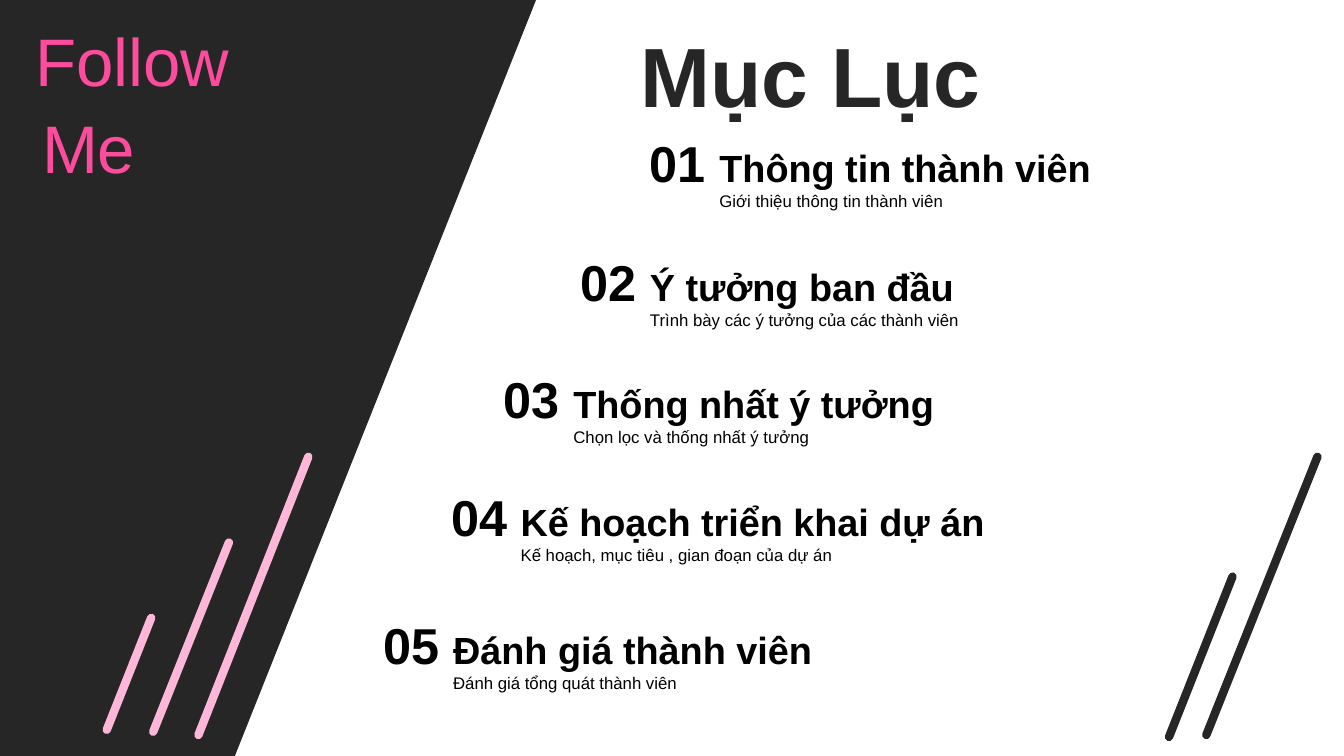
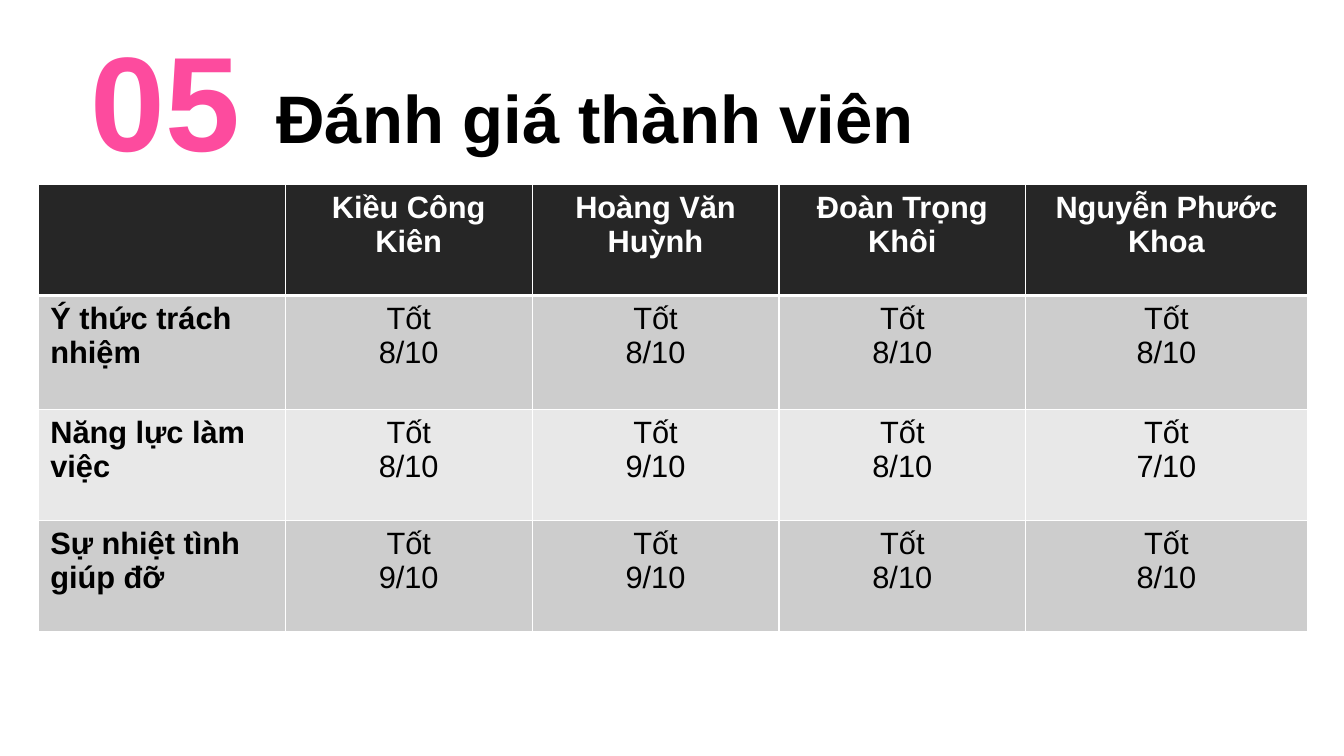
from lxml import etree
from pptx import Presentation
from pptx.dml.color import RGBColor
from pptx.enum import shapes, text
from pptx.oxml import ns
from pptx.util import Cm, Pt

FONT = "Arial"
DARK = RGBColor(0x26, 0x26, 0x26)
PINK = RGBColor(0xFD, 0x4B, 0x9E)
LIGHT_PINK = RGBColor(0xFE, 0xB7, 0xD8)
BLACK = RGBColor(0, 0, 0)
WHITE = RGBColor(0xFF, 0xFF, 0xFF)
BAND_ODD = RGBColor(0xCD, 0xCD, 0xCD)
BAND_EVEN = RGBColor(0xE8, 0xE8, 0xE8)

WIDTH, HEIGHT = Cm(33.87), Cm(19.05)
LEFT, CENTER = text.PP_ALIGN.LEFT, text.PP_ALIGN.CENTER
TOP, MIDDLE = text.MSO_ANCHOR.TOP, text.MSO_ANCHOR.MIDDLE

# number, heading, summary, left and top in cm
AGENDA = [
    ("01", "Thông tin thành viên", "Giới thiệu thông tin thành viên", 15.75, 3.2),
    ("02", "Ý tưởng ban đầu", "Trình bày các ý tưởng của các thành viên", 14, 6.2),
    ("03", "Thống nhất ý tưởng", "Chọn lọc và thống nhất ý tưởng", 12.07, 9.14),
    ("04", "Kế hoạch triển khai dự án", "Kế hoạch, mục tiêu , gian đoạn của dự án", 10.74, 12.12),
    ("05", "Đánh giá thành viên", "Đánh giá tổng quát thành viên", 9.04, 15.34),
]
# colour, then start and end points in cm
STROKES = [
    (DARK, 33.2, 11.51, 30.4, 18.52),
    (DARK, 31.06, 14.53, 29.46, 18.57),
    (LIGHT_PINK, 7.77, 11.51, 5, 18.52),
    (LIGHT_PINK, 5.77, 13.67, 3.86, 18.44),
    (LIGHT_PINK, 3.81, 15.57, 2.69, 18.39),
]
MEMBERS = ["Kiều Công Kiên", "Hoàng Văn Huỳnh", "Đoàn Trọng Khôi", "Nguyễn Phước Khoa"]
SCORES = [
    ("Ý thức trách nhiệm", [8, 8, 8, 8]),
    ("Năng lực làm việc", [8, 9, 8, 7]),
    ("Sự nhiệt tình giúp đỡ", [9, 9, 8, 8]),
]


def set_all(target, values):
    for name, value in values.items():
        setattr(target, name, value)


def write(frame, content, size, color, bold=False, align=LEFT):
    frame.text = content
    for paragraph in frame.paragraphs:
        paragraph.alignment = align
        set_all(paragraph.font, {"name": FONT, "size": Pt(size), "bold": bold})
        paragraph.font.color.rgb = color


def add_text(container, box, content, size, color, bold=False, align=LEFT,
             anchor=TOP, inset=0.25):
    shape = container.add_textbox(*map(Cm, box))
    set_all(shape.text_frame, {
        "word_wrap": True, "vertical_anchor": anchor,
        "margin_left": Cm(inset), "margin_right": Cm(inset)})
    write(shape.text_frame, content, size, color, bold, align)


def add_slide(presentation, title, box, size, color):
    slide = presentation.slides.add_slide(presentation.slide_layouts[5])
    shape = slide.shapes.title
    set_all(shape, dict(zip(("left", "top", "width", "height"), map(Cm, box))))
    set_all(shape.text_frame, {
        "word_wrap": True, "vertical_anchor": MIDDLE,
        "auto_size": text.MSO_AUTO_SIZE.NONE})
    write(shape.text_frame, title, size, color, bold=True)
    return slide


def add_slanted_panel(slide):
    builder = slide.shapes.build_freeform(0, 0)
    builder.add_line_segments([(Cm(13.51), 0), (Cm(5.92), HEIGHT), (0, HEIGHT)])
    panel = builder.convert_to_shape()
    panel.shadow.inherit = False
    panel.fill.solid()
    panel.fill.fore_color.rgb = DARK
    panel.line.fill.background()


def add_stroke(slide, color, *ends):
    """Draw a thick line with round ends."""
    stroke = slide.shapes.add_connector(shapes.MSO_CONNECTOR.STRAIGHT, *map(Cm, ends))
    stroke.line.color.rgb = color
    stroke.line.width = Pt(6)
    properties = stroke.element.spPr
    properties.find(ns.qn("a:ln")).set("cap", "rnd")
    etree.SubElement(properties, ns.qn("a:effectLst"))


def add_agenda_item(slide, number, heading, summary, left, top):
    group = slide.shapes.add_group_shape().shapes
    add_text(group, (left + 2.13, top + 1.49, 12.52, 0.76), summary, 12, BLACK)
    add_text(group, (left + 2.08, top + 0.32, 12.52, 1.42), heading, 27, BLACK,
             bold=True, inset=0.3)
    add_text(group, (left, top, 2.67, 1.8), number, 36, BLACK,
             bold=True, align=CENTER, inset=0.3)


def add_border(cell, side, width):
    properties = cell._tc.get_or_add_tcPr()
    line = etree.SubElement(properties, ns.qn(f"a:ln{side}"), w=str(Pt(width)))
    fill = etree.SubElement(line, ns.qn("a:solidFill"))
    etree.SubElement(fill, ns.qn("a:srgbClr"), val=str(WHITE))


def format_cell(cell, row, column, content):
    set_all(cell, {"margin_left": Cm(0.3), "margin_right": Cm(0.3),
                   "margin_top": Cm(0.15), "margin_bottom": Cm(0.15)})
    header = row == 0
    write(cell.text_frame, content, 22, WHITE if header else BLACK,
          bold=header or column == 0, align=CENTER if column else LEFT)
    heavy_side = {0: "B", 1: "T"}.get(row)
    for side in "LRTB":
        add_border(cell, side, 3 if side == heavy_side else 1)
    cell.fill.solid()
    cell.fill.fore_color.rgb = DARK if header else (BAND_EVEN, BAND_ODD)[row % 2]


def add_score_table(slide):
    rows = [["", *MEMBERS]]
    rows += [[label, *(f"Tốt\n{score}/10" for score in scores)] for label, scores in SCORES]
    widths = [6.22] * 4 + [7.09]
    heights = [2.8, 2.87, 2.8, 2.8]
    table = slide.shapes.add_table(
        len(rows), len(widths), Cm(0.97), Cm(4.65),
        Cm(sum(widths)), Cm(sum(heights))).table
    for column, width in zip(table.columns, widths):
        column.width = Cm(width)
    for row, height in zip(table.rows, heights):
        row.height = Cm(height)
    for row, contents in enumerate(rows):
        for column, content in enumerate(contents):
            format_cell(table.cell(row, column), row, column, content)


def add_agenda_slide(presentation):
    slide = add_slide(presentation, "Mục Lục", (15.88, 0.46, 17.2, 2.82), 60, DARK)
    add_slanted_panel(slide)
    for word, left, top in (("Follow", 0.64, 0.36), ("Me", 0.81, 2.54)):
        add_text(slide.shapes, (left, top, 9.78, 2.31), word, 48, PINK, anchor=MIDDLE)
    for item in AGENDA:
        add_agenda_item(slide, *item)
    for stroke in STROKES:
        add_stroke(slide, *stroke)


def add_score_slide(presentation):
    number, heading = AGENDA[-1][:2]
    slide = add_slide(presentation, heading, (6.71, 1.78, 21.21, 2.31), 48, BLACK)
    add_text(slide.shapes, (2.03, 0.3, 6.1, 4.37), number, 96, PINK, bold=True)
    add_score_table(slide)


def main():
    presentation = Presentation()
    set_all(presentation, {"slide_width": WIDTH, "slide_height": HEIGHT})
    add_agenda_slide(presentation)
    add_score_slide(presentation)
    presentation.save("out.pptx")


if __name__ == "__main__":
    main()
